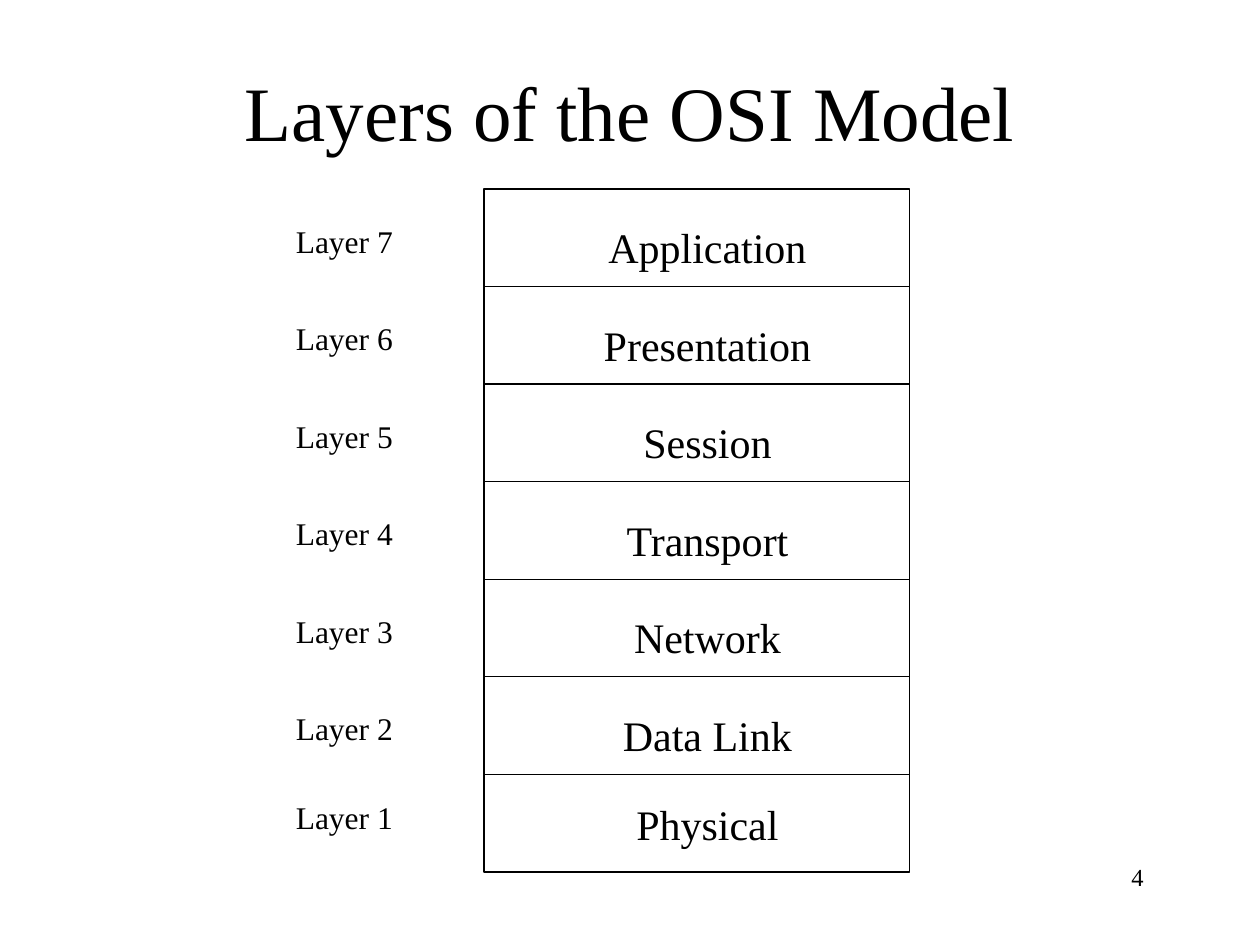
from dataclasses import dataclass

from pptx import Presentation
from pptx.dml.color import RGBColor
from pptx.enum.shapes import MSO_SHAPE
from pptx.enum.text import MSO_ANCHOR, MSO_AUTO_SIZE, PP_ALIGN
from pptx.slide import Slide
from pptx.text.text import TextFrame
from pptx.util import Inches, Pt

BLACK = RGBColor(0, 0, 0)
FONT = "Times New Roman"
LEFT, TOP, WIDTH = 3.84, 1.5, 3.38
STEP = 5.42 / 7
CENTER = 5.615


@dataclass
class Layer:
    name: str
    width: float
    drop: float = 0.21


LAYERS = [
    Layer("Application", 1.8),
    Layer("Presentation", 1.88),
    Layer("Session", 1.25),
    Layer("Transport", 1.52),
    Layer("Network", 1.39),
    Layer("Data Link", 1.57),
    Layer("Physical", 1.36, 0.14),
]


def write(frame: TextFrame, text: str, size: int, align: PP_ALIGN) -> None:
    para = frame.paragraphs[0]
    para.alignment = align
    run = para.add_run()
    run.text = text
    run.font.size = Pt(size)
    run.font.name = FONT
    run.font.color.rgb = BLACK


def add_text(slide: Slide, text: str, left: float, top: float, width: float,
             height: float, size: int, align: PP_ALIGN = PP_ALIGN.LEFT,
             wrap: bool = False) -> None:
    box = slide.shapes.add_textbox(
        Inches(left), Inches(top), Inches(width), Inches(height))
    box.text_frame.word_wrap = wrap
    box.text_frame.auto_size = MSO_AUTO_SIZE.SHAPE_TO_FIT_TEXT
    write(box.text_frame, text, size, align)


def add_rect(slide: Slide, top: float) -> None:
    rect = slide.shapes.add_shape(
        MSO_SHAPE.RECTANGLE, Inches(LEFT), Inches(top),
        Inches(WIDTH), Inches(STEP))
    rect.shadow.inherit = False
    rect.fill.background()
    rect.line.color.rgb = BLACK
    rect.line.width = Pt(0.75)


def add_layer(slide: Slide, row: int, layer: Layer) -> None:
    top = TOP + row * STEP
    add_rect(slide, top)
    add_text(slide, layer.name, CENTER - layer.width / 2, top + layer.drop,
             layer.width, 0.5, 24, PP_ALIGN.CENTER)
    add_text(slide, f"Layer {len(LAYERS) - row}", 2.25, top + layer.drop,
             0.97, 0.4, 18)


def main() -> None:
    deck = Presentation()
    deck.slide_width = Inches(10)
    deck.slide_height = Inches(7.5)
    slide = deck.slides.add_slide(deck.slide_layouts[5])
    title = slide.shapes.title
    title.left, title.top = Inches(0.75), Inches(0.25)
    title.width, title.height = Inches(8.5), Inches(1.25)
    title.text_frame.vertical_anchor = MSO_ANCHOR.MIDDLE
    write(title.text_frame, "Layers of the OSI Model", 44, PP_ALIGN.CENTER)
    for row, layer in enumerate(LAYERS):
        add_layer(slide, row, layer)
    add_text(slide, "4", 8.88, 6.79, 1.01, 0.34, 14, wrap=True)
    deck.save("out.pptx")


if __name__ == "__main__":
    main()
